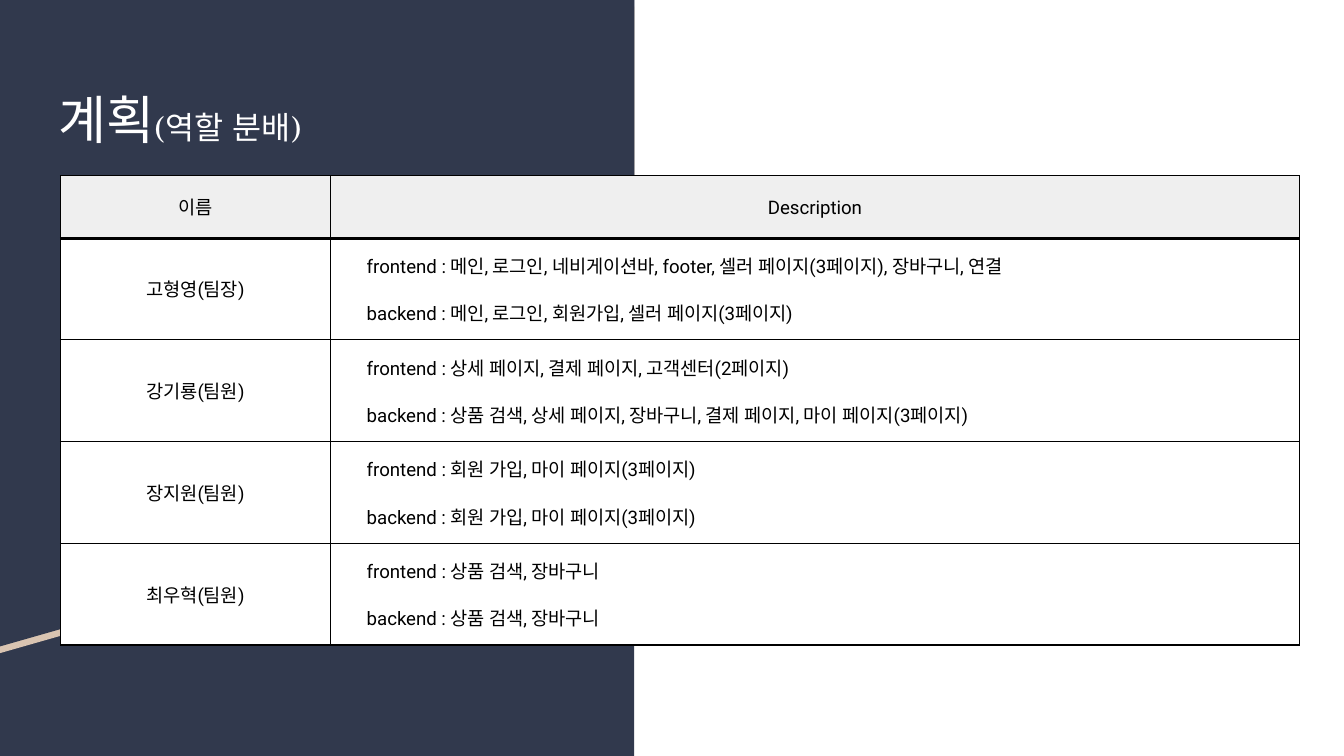
import pptx
import pptx.dml.color
import pptx.enum.shapes
import pptx.enum.text
import pptx.oxml
import pptx.oxml.ns
import pptx.util

Pt = pptx.util.Pt
RGB = pptx.dml.color.RGBColor.from_string
COLORS = {"navy": "31394D", "sand": "D9C4B1", "white": "FFFFFF",
          "header": "EFEFEF", "black": "000000"}


def format_spans(para, size, font, color):
    """Style every run, using the same typeface for Latin and Korean."""
    for span in para.runs:
        span.font.size = Pt(size)
        span.font.name = font
        span.font.color.rgb = RGB(COLORS[color])
        east_asian = pptx.oxml.parse_xml(
            f'<a:ea {pptx.oxml.ns.nsdecls("a")} typeface="{font}"/>')
        span.font._element.find(pptx.oxml.ns.qn("a:latin")).addnext(east_asian)


def set_borders(cell, widths):
    """Draw black borders; widths in points for left, right, top, bottom."""
    properties = cell._tc.get_or_add_tcPr()
    for index, (side, width) in enumerate(zip("LRTB", widths)):
        properties.insert(index, pptx.oxml.parse_xml(
            f'<a:ln{side} {pptx.oxml.ns.nsdecls("a")} w="{int(Pt(width))}">'
            f'<a:solidFill><a:srgbClr val="{COLORS["black"]}"/></a:solidFill>'
            f'</a:ln{side}>'))


deck = pptx.Presentation()
deck.slide_width, deck.slide_height = Pt(720), Pt(405)
page = deck.slides.add_slide(deck.slide_layouts[6])

# Dark left panel with a slanted sand stripe
panel_width = 339.8
panel = page.shapes.add_shape(pptx.enum.shapes.MSO_SHAPE.RECTANGLE,
                              0, 0, Pt(panel_width), Pt(405))
slants = []
for top in (3.6, 0):
    corners = [(panel_width, top), (panel_width, top + 249.1), (0, top + 346.3)]
    outline = page.shapes.build_freeform(0, Pt(top), scale=1.0)
    outline.add_line_segments([(Pt(x), Pt(y)) for x, y in corners], close=True)
    slants.append(outline.convert_to_shape())
for shape, color in zip([panel, *slants], ("navy", "sand", "navy")):
    shape.shadow.inherit = False
    shape.fill.solid()
    shape.fill.fore_color.rgb = RGB(COLORS[color])
    shape.line.fill.background()

# Title
title = page.shapes.add_textbox(Pt(24.5), Pt(39.6), Pt(291.6), Pt(197.3))
frame = title.text_frame
frame.word_wrap = True
frame.margin_left = frame.margin_right = Pt(7.2)
frame.margin_top = frame.margin_bottom = Pt(7.2)
para = frame.paragraphs[0]
for text in ("계획", "(역할 분배)"):
    para.add_run().text = text
format_spans(para, 28, "TeX Gyre Schola", "white")
para.runs[1].font.size = Pt(16.9)

# Role table
rows = [
    ("이름", "Description"),
    ("고형영(팀장)",
     "frontend : 메인, 로그인, 네비게이션바, footer, 셀러 페이지(3페이지), 장바구니, 연결\n"
     "backend : 메인, 로그인, 회원가입, 셀러 페이지(3페이지)"),
    ("강기룡(팀원)",
     "frontend : 상세 페이지, 결제 페이지, 고객센터(2페이지)\n"
     "backend : 상품 검색, 상세 페이지, 장바구니, 결제 페이지, 마이 페이지(3페이지)"),
    ("장지원(팀원)",
     "frontend : 회원 가입, 마이 페이지(3페이지)\n"
     "backend : 회원 가입, 마이 페이지(3페이지)"),
    ("최우혁(팀원)",
     "frontend : 상품 검색, 장바구니\n"
     "backend : 상품 검색, 장바구니"),
]
column_widths = (144.7, 519)
row_heights = [33.4] + [54.5] * 4
table = page.shapes.add_table(len(rows), 2, Pt(32.4), Pt(94.2),
                              Pt(sum(column_widths)), Pt(sum(row_heights))).table
for column, width in zip(table.columns, column_widths):
    column.width = Pt(width)
for row_index, (row, height) in enumerate(zip(rows, row_heights)):
    table.rows[row_index].height = Pt(height)
    for column_index, text in enumerate(row):
        cell = table.cell(row_index, column_index)
        cell.fill.solid()
        cell.fill.fore_color.rgb = RGB(COLORS["white" if row_index else "header"])
        set_borders(cell, (0.75, 0.75, 1.97 if row_index == 1 else 0.75,
                           1.97 if row_index == 0 else 0.75))
        cell.margin_left = cell.margin_right = Pt(5)
        cell.margin_top = cell.margin_bottom = 0
        cell.vertical_anchor = pptx.enum.text.MSO_ANCHOR.MIDDLE
        cell.text_frame.text = text
        for para_index, para in enumerate(cell.text_frame.paragraphs):
            para.line_spacing = 1.15
            if row_index and column_index:
                properties = para._p.get_or_add_pPr()
                properties.set("marL", str(int(Pt(14.4))))
                properties.set("indent", "0")
                para.space_before = Pt(12 * para_index)
            else:
                para.alignment = pptx.enum.text.PP_ALIGN.CENTER
            format_spans(para, 10, "Roboto", "black")

deck.save("out.pptx")
